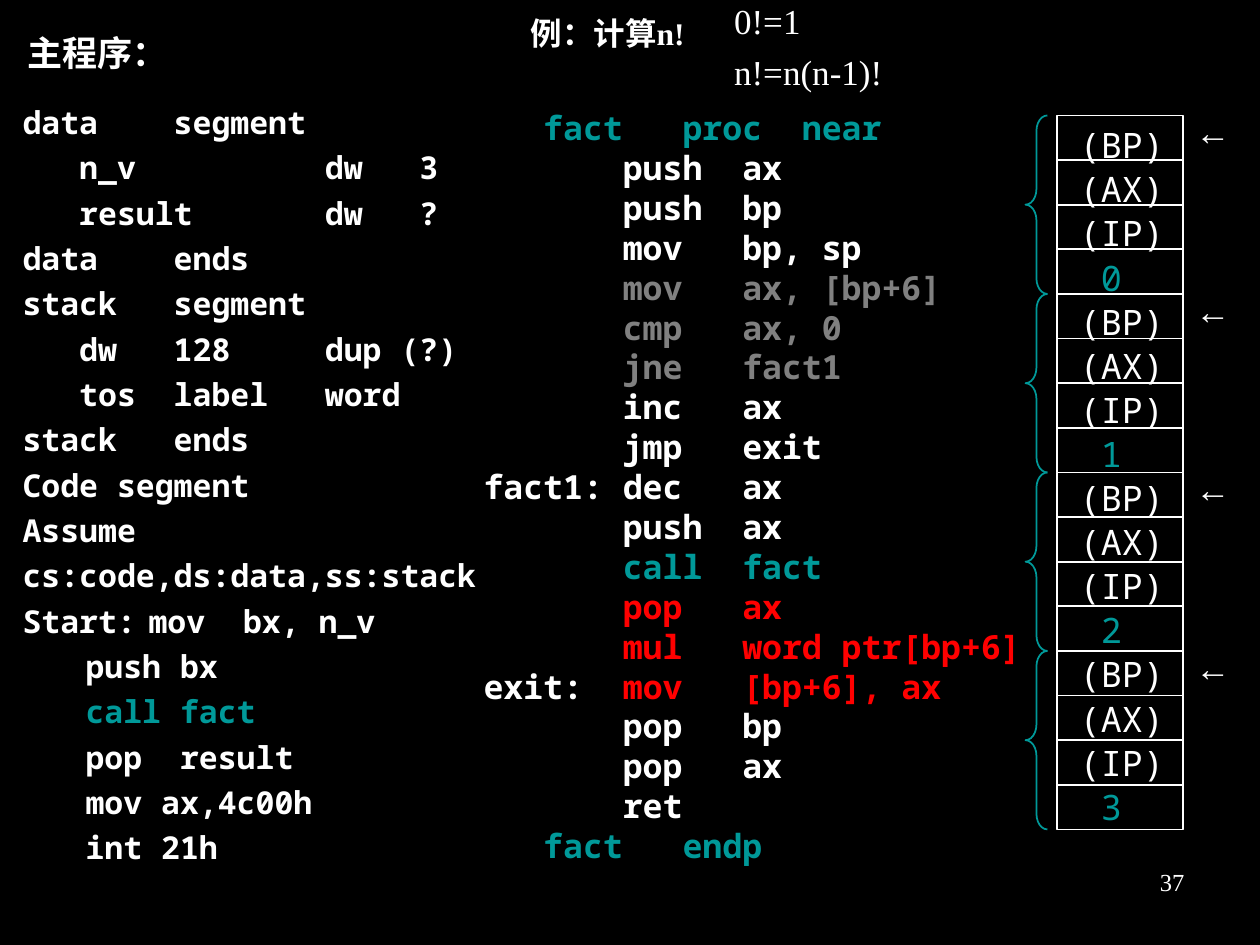
import pptx
import pptx.dml.color
import pptx.enum.shapes
import pptx.enum.text
import pptx.util
from dataclasses import dataclass
from typing import NamedTuple, Optional

Pt = pptx.util.Pt
Align = pptx.enum.text.PP_ALIGN
Anchor = pptx.enum.text.MSO_ANCHOR
Preset = pptx.enum.shapes.MSO_SHAPE
RGBColor = pptx.dml.color.RGBColor

BLACK = RGBColor(0x00, 0x00, 0x00)
WHITE = RGBColor(0xFF, 0xFF, 0xFF)
TEAL = RGBColor(0x00, 0x99, 0x99)
GRAY = RGBColor(0x80, 0x80, 0x80)
RED = RGBColor(0xFF, 0x00, 0x00)
MONO = "Noto Sans Mono"
SERIF = "Times New Roman"

CELL_LEFT, CELL_TOP, CELL_WIDTH, CELL_HEIGHT = 604, 66, 72, 25.5
FRAME_CELLS = 4
FRAME_HEIGHT = FRAME_CELLS * CELL_HEIGHT
FRAME_COUNT = 4


class Span(NamedTuple):
    text: str
    color: RGBColor = WHITE


class Area(NamedTuple):
    left: float
    top: float
    width: float
    height: float


@dataclass
class Style:
    size: float
    font: str = SERIF
    bold: bool = False
    spacing: Optional[float] = None
    gap: float = 0
    align: Align = Align.LEFT
    anchor: Anchor = Anchor.TOP
    wrap: bool = True
    inset: float = 7.2


MAIN_PROGRAM = [
    [Span("data    segment")],
    [Span("   n_v          dw   3")],
    [Span("   result       dw   ?")],
    [Span("data    ends")],
    [Span("stack   segment")],
    [Span("   dw   128     dup (?)")],
    [Span("   tos  label   word")],
    [Span("stack   ends")],
    [Span("Code segment")],
    [Span("Assume cs:code,ds:data,ss:stack")],
    [Span("Start:\tmov  bx, n_v")],
    [Span("\tpush bx")],
    [Span("\tcall fact", TEAL)],
    [Span("\tpop  result")],
    [Span("\tmov ax,4c00h")],
    [Span("\tint 21h")],
]
FACT_PROCEDURE = [
    [Span("   fact   proc  near", TEAL)],
    [Span("       push  ax")],
    [Span("       push  bp")],
    [Span("       mov   bp, sp")],
    [Span("       mov   ax, [bp+6]", GRAY)],
    [Span("       cmp   ax, 0", GRAY)],
    [Span("       jne   fact1", GRAY)],
    [Span("       inc   ax")],
    [Span("       jmp   exit")],
    [Span("fact1: dec   ax")],
    [Span("       push  ax")],
    [Span("       call  fact", TEAL)],
    [Span("       pop   ax", RED)],
    [Span("       mul   word ptr[bp+6]", RED)],
    [Span("exit:  "), Span("mov   [bp+6], ax", RED)],
    [Span("       pop   bp")],
    [Span("       pop   ax")],
    [Span("       ret")],
    [Span("   fact   endp", TEAL)],
]


def place(shape, area: Area) -> None:
    shape.left, shape.top, shape.width, shape.height = map(Pt, area)


def write(box, lines: list, style: Style) -> None:
    frame = box.text_frame
    frame.word_wrap = style.wrap
    frame.auto_size = pptx.enum.text.MSO_AUTO_SIZE.NONE
    frame.vertical_anchor = style.anchor
    frame.margin_left = Pt(style.inset)
    for index, line in enumerate(lines):
        para = frame.add_paragraph() if index else frame.paragraphs[0]
        para.alignment = style.align
        para.space_before = Pt(style.gap if index else 0)
        para.line_spacing = style.spacing
        for span in line:
            run = para.add_run()
            run.text = span.text
            run.font.name = style.font
            run.font.size = Pt(style.size)
            run.font.bold = style.bold
            run.font.color.rgb = span.color


def add_text(page, area: Area, lines: list, style: Style) -> None:
    write(page.shapes.add_textbox(*map(Pt, area)), lines, style)


def add_outline(page, preset: Preset, area: Area, color: RGBColor):
    shape = page.shapes.add_shape(preset, *map(Pt, area))
    shape.shadow.inherit = False
    shape.fill.background()
    shape.line.color.rgb = color
    shape.line.width = Pt(1)
    return shape


def add_stack(page) -> None:
    contents = []
    arrow_style = Style(20, bold=True, anchor=Anchor.MIDDLE, wrap=False)
    for cell in range(FRAME_COUNT * FRAME_CELLS):
        top = CELL_TOP + cell * CELL_HEIGHT
        area = Area(CELL_LEFT, top, CELL_WIDTH, CELL_HEIGHT)
        add_outline(page, Preset.RECTANGLE, area, WHITE)
    for number in range(FRAME_COUNT):
        top = CELL_TOP + number * FRAME_HEIGHT
        brace = add_outline(page, Preset.LEFT_BRACE, Area(586, top, 12.5, FRAME_HEIGHT), TEAL)
        brace.adjustments[0] = 0.71
        add_text(page, Area(676, top - 6.2, 34.5, 31), [[Span("←")]], arrow_style)
        contents += [[Span(name)] for name in ("(BP)", "(AX)", "(IP)")]
        contents.append([Span(" "), Span(str(number), TEAL)])
    add_text(page, Area(610, CELL_TOP, 66, 411), contents, Style(20, MONO, spacing=1.05))


def main() -> None:
    deck = pptx.Presentation()
    deck.slide_width, deck.slide_height = Pt(720), Pt(540)
    page = deck.slides.add_slide(deck.slide_layouts[5])
    page.background.fill.solid()
    page.background.fill.fore_color.rgb = BLACK

    title = page.shapes.title
    place(title, Area(281, 0.7, 132.5, 36))
    write(title, [[Span("例：计算n!")]],
          Style(18, bold=True, align=Align.CENTER, anchor=Anchor.MIDDLE, wrap=False))

    add_text(page, Area(8.6, 14.4, 116.6, 31), [[Span("主程序：")]], Style(20, bold=True))
    add_text(page, Area(382.3, 0.7, 131.8, 58.3), [[Span("0!=1")], [Span("n!=n(n-1)!")]],
             Style(20, spacing=0.8, gap=10, inset=37.2))
    add_text(page, Area(5.8, 49.7, 280.8, 450), MAIN_PROGRAM,
             Style(18, MONO, bold=True, spacing=1.2, anchor=Anchor.MIDDLE))
    add_text(page, Area(269.3, 55.4, 328.3, 445), FACT_PROCEDURE,
             Style(19, MONO, bold=True, anchor=Anchor.MIDDLE))
    add_stack(page)
    add_text(page, Area(516.2, 491.8, 167.8, 37.4), [[Span("37")]], Style(14, align=Align.RIGHT))
    deck.save("out.pptx")


if __name__ == "__main__":
    main()
